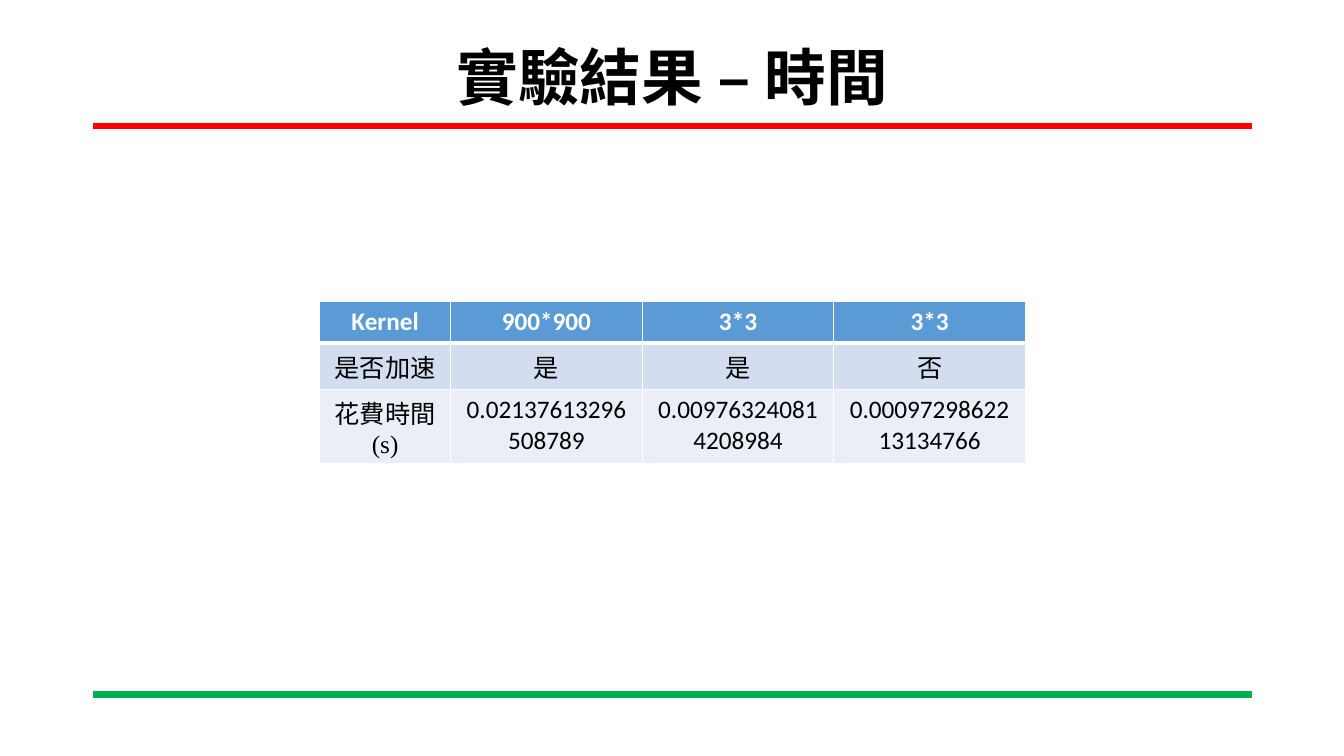
from lxml.etree import SubElement
from pptx import Presentation
from pptx.dml.color import RGBColor
from pptx.enum.shapes import MSO_CONNECTOR
from pptx.enum.text import MSO_ANCHOR, MSO_AUTO_SIZE, PP_ALIGN
from pptx.oxml import parse_xml
from pptx.oxml.ns import nsdecls, qn
from pptx.util import Inches, Pt

LATIN, SERIF, CJK = "Calibri", "Times New Roman", "Noto Sans CJK SC"
LEFT, WIDTH = 0.92, 11.5
COLUMN_WIDTHS = [1.3, 1.9, 1.9, 1.9]
ROW_HEIGHTS = [0.41, 0.41, 0.69]
ROW_FILLS = ["5B9BD5", "D2DEEF", "EAEFF7"]
RESULTS = [
    [[("Kernel", LATIN)], [("900*900", LATIN)], [("3*3", LATIN)], [("3*3", LATIN)]],
    [[("是否加速", CJK)], [("是", LATIN)], [("是", LATIN)], [("否", LATIN)]],
    [[("花費時間", CJK), ("(s)", SERIF)], [("0.02137613296508789", LATIN)],
     [("0.009763240814208984", LATIN)], [("0.0009729862213134766", LATIN)]],
]


def color(value):
    return RGBColor.from_string(value)


def add_text(paragraph, text, font=LATIN, size=18, fill="000000", bold=False):
    paragraph.alignment = PP_ALIGN.CENTER
    run = paragraph.add_run()
    run.text = text
    run.font.size = Pt(size)
    run.font.bold = bold
    run.font.color.rgb = color(fill)
    run.font.name = font
    SubElement(run.font._element, qn("a:ea")).set("typeface", CJK)


def add_rule(slide, left, top, width, fill):
    rule = slide.shapes.add_connector(
        MSO_CONNECTOR.STRAIGHT, Inches(left), Inches(top), Inches(left + width), Inches(top))
    rule.line.color.rgb = color(fill)
    rule.line.width = Pt(4.5)
    SubElement(rule._element.spPr, qn("a:effectLst"))


def add_title(slide, left, top, width, height, text):
    title = slide.shapes.title
    title.left, title.top = Inches(left), Inches(top)
    title.width, title.height = Inches(width), Inches(height)
    frame = title.text_frame
    frame.auto_size = MSO_AUTO_SIZE.NONE
    frame.vertical_anchor = MSO_ANCHOR.MIDDLE
    paragraph = frame.paragraphs[0]
    paragraph.line_spacing = 0.9
    add_text(paragraph, text, font=SERIF, size=44, bold=True)


def set_borders(cell, **widths):
    """Draw white borders; widths in points are keyed by side: L, R, T, B."""
    properties = cell._tc.get_or_add_tcPr()
    for index, (side, width) in enumerate(widths.items()):
        properties.insert(index, parse_xml(
            f'<a:ln{side} {nsdecls("a")} w="{Pt(width)}"><a:solidFill>'
            f'<a:srgbClr val="FFFFFF"/></a:solidFill></a:ln{side}>'))


def add_results_table(slide, left, top, width, height):
    table = slide.shapes.add_table(
        len(RESULTS), len(COLUMN_WIDTHS),
        Inches(left), Inches(top), Inches(width), Inches(height)).table
    for column, column_width in zip(table.columns, COLUMN_WIDTHS):
        column.width = Inches(column_width)
    for row_index, (row, row_height) in enumerate(zip(table.rows, ROW_HEIGHTS)):
        row.height = Inches(row_height)
        header = row_index == 0
        for cell, runs in zip(row.cells, RESULTS[row_index]):
            cell.fill.solid()
            cell.fill.fore_color.rgb = color(ROW_FILLS[row_index])
            set_borders(cell, L=1, R=1, T=3 if row_index == 1 else 1, B=3 if header else 1)
            for text, font in runs:
                add_text(cell.text_frame.paragraphs[0], text, font=font,
                         fill="FFFFFF" if header else "000000", bold=header)


def main():
    presentation = Presentation()
    presentation.slide_width, presentation.slide_height = Inches(13.33), Inches(7.5)
    slide = presentation.slides.add_slide(presentation.slide_layouts[5])
    add_rule(slide, LEFT, 1.25, WIDTH, "FF0000")
    add_rule(slide, LEFT, 6.89, WIDTH, "00B050")
    add_title(slide, LEFT, 0.4, WIDTH, 0.79, "實驗結果 – 時間")
    add_results_table(slide, 3.17, 2.99, sum(COLUMN_WIDTHS), sum(ROW_HEIGHTS))
    presentation.save("out.pptx")


if __name__ == "__main__":
    main()
